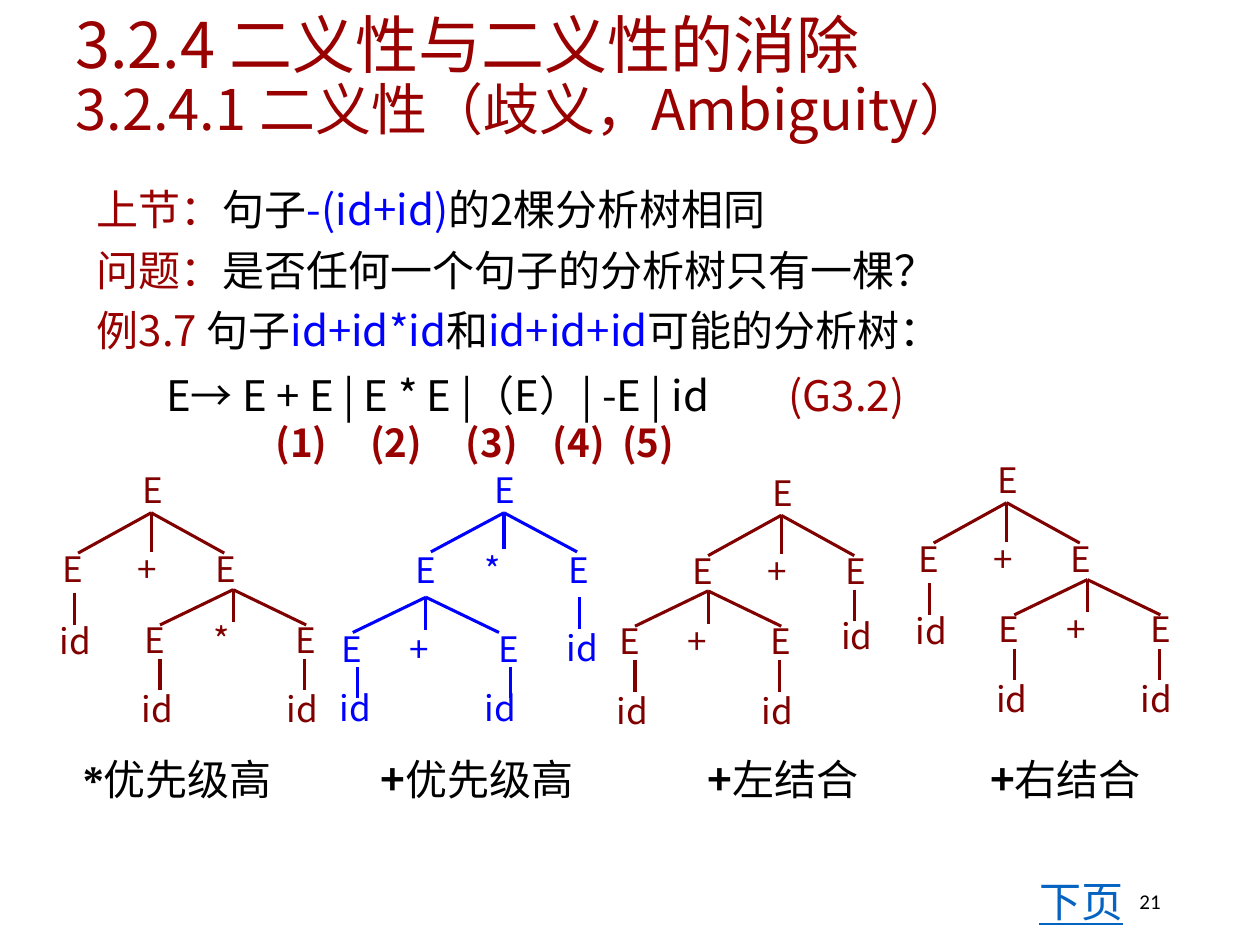
from dataclasses import dataclass
from typing import NamedTuple

from lxml.etree import SubElement
from pptx import Presentation
from pptx.dml.color import RGBColor
from pptx.enum.shapes import MSO_CONNECTOR
from pptx.enum.text import MSO_ANCHOR, PP_ALIGN
from pptx.oxml.ns import qn
from pptx.util import Inches, Pt

COLS, ROWS = 100, 75  # grid over the slide


@dataclass(frozen=True)
class Theme:
    sans: str = "Noto Sans CJK SC"
    serif: str = "Times New Roman"
    plain: str = "Calibri"
    red: str = "990000"
    dark: str = "800000"
    blue: str = "0000FF"
    link: str = "0563C1"
    black: str = "000000"
    head: int = 36
    subhead: int = 32
    body: int = 24
    mark: int = 22
    node: int = 20
    page: int = 12
    stroke: float = 1.75


THEME = Theme()


class Run(NamedTuple):
    text: str
    color: str = THEME.black
    size: int = THEME.body
    font: str = THEME.sans
    bold: bool = False
    under: bool = False


class Box(NamedTuple):
    """Left, top, width and height in grid units."""
    x: float
    y: float
    w: float
    h: float


class Fork(NamedTuple):
    """Branch lines and child labels, measured from the apex."""
    drop: float
    stem: float
    left: float
    mid: float
    right: float
    low: float


class Leaf(NamedTuple):
    """Line start and id label, measured from an apex."""
    x: float
    y: float
    name_x: float
    name_y: float


@dataclass(frozen=True)
class Tree:
    x: float
    y: float
    ops: str
    sub_x: float
    sub_y: float
    lone: Leaf
    color: str = THEME.dark
    top: Fork = Fork(3.2, 3.1, -6.2, -0.3, 5.9, 2.75)
    sub: Fork = Fork(2.8, 2.6, -6.2, -0.9, 5.8, 2.25)
    pair: tuple[Leaf, Leaf] = (Leaf(-5.8, 5.5, -6, 7.8),
                               Leaf(5.7, 5.5, 5.5, 7.8))


LEFT_LEAF = Leaf(-6.1, 6.4, -6, 8.5)
TREES = (
    Tree(12, 40.7, "+*", 6.5, 6.1, LEFT_LEAF),
    Tree(40, 40.7, "*+", -6.2, 6.7, Leaf(6, 6.7, 6.2, 9), THEME.blue,
         Fork(3.1, 2.9, -6.2, -0.9, 5.9, 2.8),
         Fork(2.8, 2.6, -5.9, -0.5, 6.6, 2.4),
         (Leaf(-5.4, 5.5, -5.6, 7.1), Leaf(6.7, 5.5, 5.9, 7.1))),
    Tree(62, 40.9, "++", -5.8, 6, Leaf(5.8, 5.9, 6, 7.9)),
    Tree(79.9, 39.9, "++", 6.4, 6.1, LEFT_LEAF),
)

prs = Presentation()
prs.slide_width, prs.slide_height = Inches(10), Inches(7.5)
slide = prs.slides.add_slide(prs.slide_layouts[6])


def across(cols: float) -> int:
    return round(prs.slide_width * cols / COLS)


def down(rows: float) -> int:
    return round(prs.slide_height * rows / ROWS)


def put(obj, form: dict) -> None:
    for key, value in form.items():
        setattr(obj, key, value)


def add_run(para, run: Run) -> None:
    item = para.add_run()
    item.text = run.text
    put(item.font, {"name": run.font, "size": Pt(run.size),
                    "bold": run.bold, "underline": run.under})
    item.font.color.rgb = RGBColor.from_string(run.color)
    SubElement(item.font._element, qn("a:ea"), typeface=THEME.sans)


def add_tabs(para, stops: tuple[float, ...]) -> None:
    """Set left tab stops, given in columns."""
    tabs = SubElement(para._p.get_or_add_pPr(), qn("a:tabLst"))
    for stop in stops:
        SubElement(tabs, qn("a:tab"), pos=str(across(stop)), algn="l")


def write(box: Box, lines: list[list[Run]], para_form: dict | None = None,
          frame_form: dict | None = None, stops: tuple[float, ...] = ()) -> None:
    shape = slide.shapes.add_textbox(across(box.x), down(box.y),
                                     across(box.w), down(box.h))
    frame = shape.text_frame
    put(frame, {"word_wrap": True, **(frame_form or {})})
    for i, runs in enumerate(lines):
        para = frame.add_paragraph() if i else frame.paragraphs[0]
        put(para, para_form or {})
        if stops:
            add_tabs(para, stops)
        for run in runs:
            if run.text == "\v":
                para.add_line_break()
            else:
                add_run(para, run)


def label(x: float, y: float, text: str, color: str) -> None:
    """Write a node centred on x with its top at y."""
    tight = dict.fromkeys(("margin_left", "margin_top", "margin_right",
                           "margin_bottom"), 0)
    write(Box(x - 1.4, y, 2.8, 3.3), [[Run(text, color, THEME.node)]],
          {"alignment": PP_ALIGN.CENTER}, {**tight, "word_wrap": False})


def line(shapes, x: float, y: float, dx: float, dy: float, color: str) -> None:
    link = shapes.add_connector(MSO_CONNECTOR.STRAIGHT, across(x), down(y),
                                across(x + dx), down(y + dy))
    link.line.width = Pt(THEME.stroke)
    link.line.color.rgb = RGBColor.from_string(color)
    SubElement(link._element.spPr, qn("a:effectLst"))


def draw_fork(x: float, y: float, fork: Fork, op: str, color: str) -> None:
    group = slide.shapes.add_group_shape()
    for dx, dy in ((0, fork.stem), (-5.8, fork.drop), (5.8, fork.drop)):
        line(group.shapes, x, y, dx, dy, color)
    for dx, text in ((fork.left, "E"), (fork.mid, op), (fork.right, "E")):
        label(x + dx, y + fork.low, text, color)


def draw_leaf(x: float, y: float, leaf: Leaf, color: str) -> None:
    line(slide.shapes, x + leaf.x, y + leaf.y, 0, 2.5, color)
    label(x + leaf.name_x, y + leaf.name_y, "id", color)


def draw_tree(tree: Tree) -> None:
    x, y = tree.x + tree.sub_x, tree.y + tree.sub_y
    label(tree.x + 0.1, tree.y - 3.5, "E", tree.color)
    draw_fork(tree.x, tree.y, tree.top, tree.ops[0], tree.color)
    draw_fork(x, y, tree.sub, tree.ops[1], tree.color)
    draw_leaf(tree.x, tree.y, tree.lone, tree.color)
    for leaf in tree.pair:
        draw_leaf(x, y, leaf, tree.color)


red, blue = THEME.red, THEME.blue
write(Box(5, 0, 85, 12.5),
      [[Run("3.2.4 二义性与二义性的消除", red, THEME.head), Run("\v"),
        Run("3.2.4.1 二义性（歧义，Ambiguity）", red, THEME.subhead)]],
      {"line_spacing": 0.9}, {"vertical_anchor": MSO_ANCHOR.MIDDLE})
write(Box(70.6, 69.5, 22.5, 4),
      [[Run("21", size=THEME.page, font=THEME.plain)]],
      {"alignment": PP_ALIGN.RIGHT}, {"vertical_anchor": MSO_ANCHOR.MIDDLE})
write(Box(6.7, 13.3, 81.1, 15.4), [
    [Run("上节：", red), Run("句子"), Run("-(id+id)", blue),
     Run("的2棵分析树相同")],
    [Run("问题：", red), Run("是否任何一个句子的分析树只有一棵？")],
    [Run("例3.7 ", red), Run("句子"), Run("id+id*id", blue), Run("和"),
     Run("id+id+id", blue), Run("可能的分析树：")],
], {"line_spacing": 1.2})
write(Box(12.2, 28.8, 75.6, 5),
      [[Run("E→ E + E | E * E |（E）| -E | id\t"), Run("(G3.2)", red)]],
      stops=(49.4,))
write(Box(20.9, 32.8, 58.3, 4.7),
      [[Run("(1)\t(2)\t(3)\t(4)\t(5)", red, THEME.mark, bold=True)]],
      stops=(7.5, 15.1, 22, 27.5))

for tree in TREES:
    draw_tree(tree)

for x, w, sign, note, font in (
        (5.6, 18.4, "*", "优先级高", THEME.serif),
        (29.2, 18.4, "+", "优先级高", THEME.sans),
        (55.2, 16.1, "+", "左结合", THEME.sans),
        (77.6, 16.5, "+", "右结合", THEME.sans)):
    write(Box(x, 59.3, w, 5),
          [[Run(sign, font=font, bold=True), Run(note, font=THEME.serif)]])

write(Box(79.9, 69, 11.8, 5), [[Run("下页", THEME.link, under=True)]],
      {"alignment": PP_ALIGN.CENTER})

prs.save("out.pptx")
